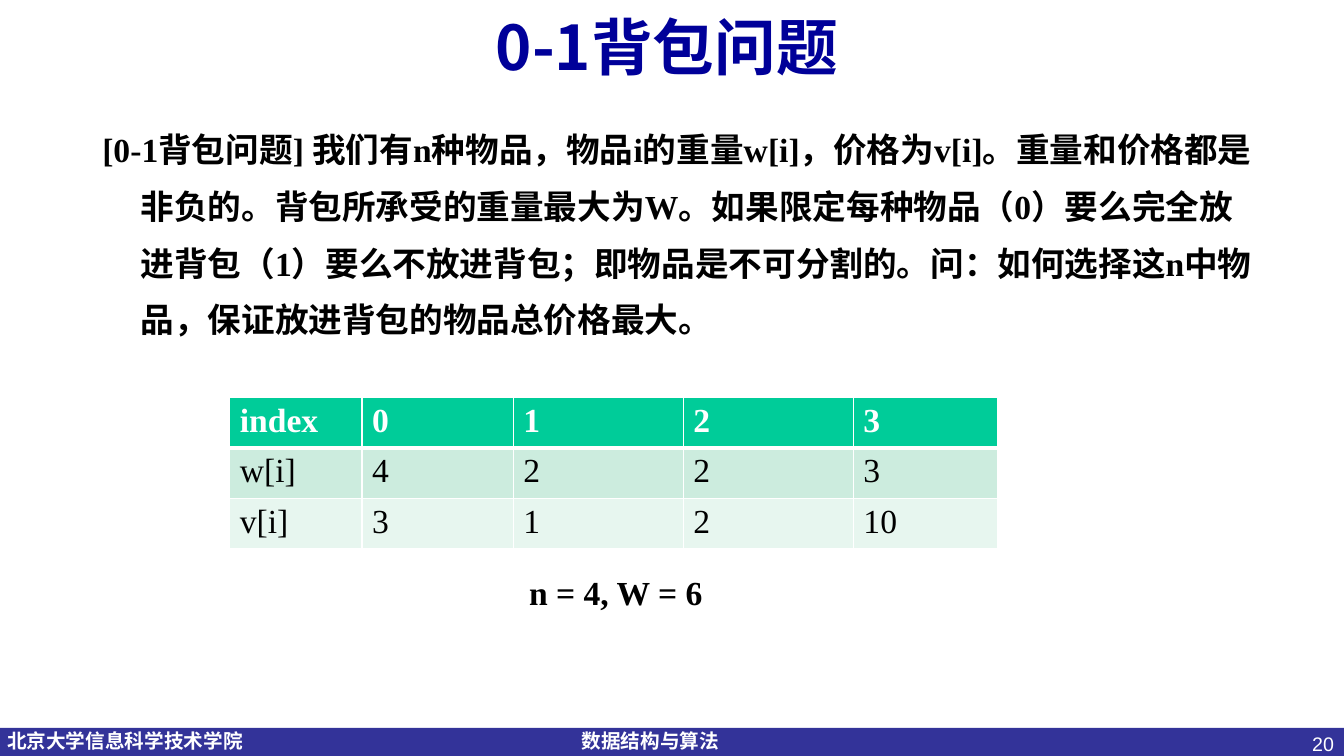
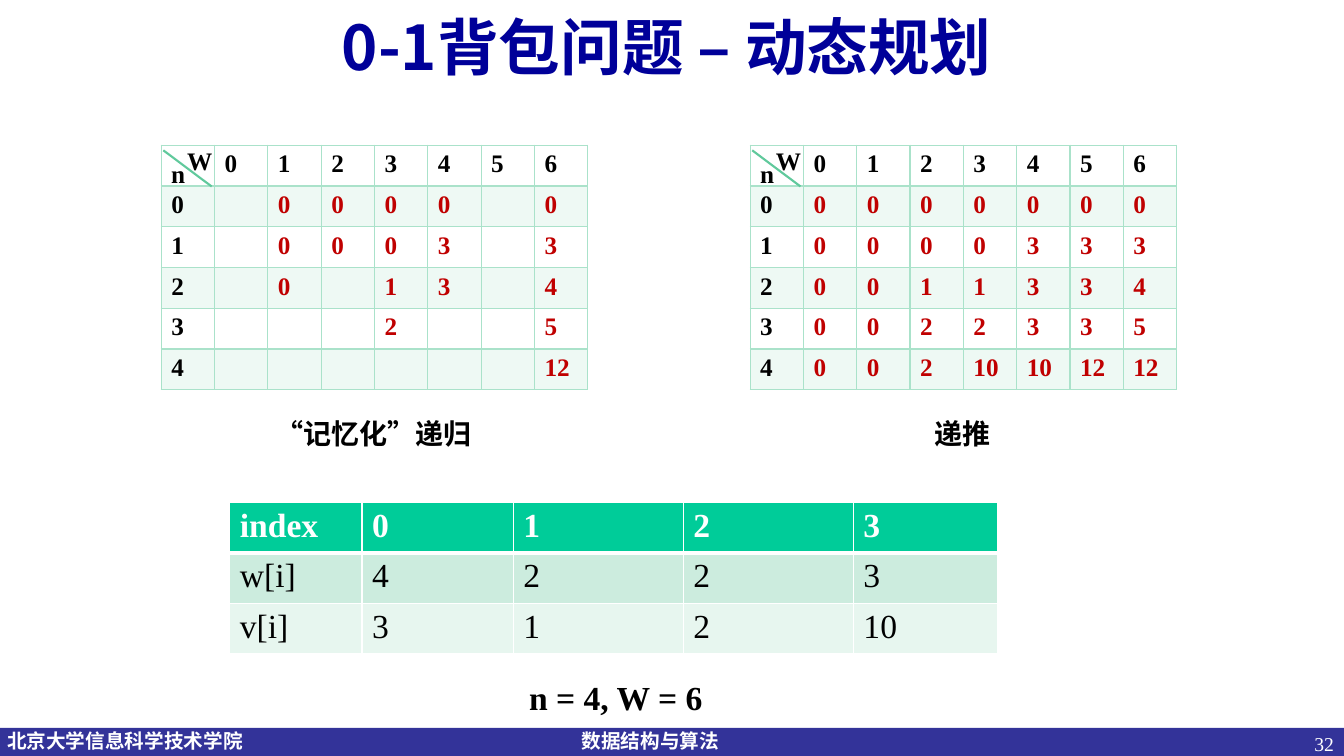
from lxml.etree import SubElement
from pptx import Presentation
from pptx.dml.color import RGBColor
from pptx.enum.shapes import MSO_CONNECTOR, MSO_SHAPE
from pptx.enum.text import MSO_ANCHOR, PP_ALIGN
from pptx.oxml.ns import qn
from pptx.util import Emu, Inches, Pt

SLIDE_WIDTH, SLIDE_HEIGHT = Inches(13.33), Inches(7.5)
GRID_COLUMNS, GRID_ROWS = 32, 18
SERIF, SANS, CHINESE = "Times New Roman", "Arial", "Noto Sans CJK SC"
WHITE, BLACK, RED = "FFFFFF", "000000", "C00000"
TITLE_BLUE, BAND_BLUE = "000099", "333399"
GREEN, PALE_GREEN, LIGHT_GREEN = "00CC99", "CCECDE", "E7F6EF"
GRID_LINE, GRID_BAND, DIAGONAL = "AAE2CA", "EEF9F4", "60C99C"

ITEMS = [
    ["index", "0", "1", "2", "3"],
    ["w[i]", "4", "2", "2", "3"],
    ["v[i]", "3", "1", "2", "10"],
]
ITEM_COLUMNS = [3.15, 3.6, 4.05, 4.05, 3.44]
CAPACITY_HEADER = ["", "0", "1", "2", "3", "4", "5", "6"]
MEMOIZED = [
    CAPACITY_HEADER,
    ["0", "", "0", "0", "0", "0", "", "0"],
    ["1", "", "0", "0", "0", "3", "", "3"],
    ["2", "", "0", "", "1", "3", "", "4"],
    ["3", "", "", "", "2", "", "", "5"],
    ["4", "", "", "", "", "", "", "12"],
]
ITERATIVE = [
    CAPACITY_HEADER,
    ["0", "0", "0", "0", "0", "0", "0", "0"],
    ["1", "0", "0", "0", "0", "3", "3", "3"],
    ["2", "0", "0", "1", "1", "3", "3", "4"],
    ["3", "0", "0", "2", "2", "3", "3", "5"],
    ["4", "0", "0", "2", "10", "10", "12", "12"],
]
PROBLEM = (
    "[0-1背包问题] 我们有n种物品，物品i的重量w[i]，价格为v[i]。"
    "重量和价格都是非负的。背包所承受的重量最大为W。"
    "如果限定每种物品（0）要么完全放进背包（1）要么不放进背包；"
    "即物品是不可分割的。问：如何选择这n中物品，保证放进背包的物品总价格最大。"
)


def across(columns):
    """Turn grid columns into a length."""
    return Emu(round(SLIDE_WIDTH * columns / GRID_COLUMNS))


def down(rows):
    """Turn grid rows into a length."""
    return Emu(round(SLIDE_HEIGHT * rows / GRID_ROWS))


def place(left, top, width, height):
    """Turn a grid box into left, top, width and height."""
    return across(left), down(top), across(width), down(height)


def color(value):
    """Turn a hex string into a colour."""
    return RGBColor.from_string(value)


def add_run(paragraph, text, size, ink=BLACK, font=SERIF, bold=True):
    """Add one styled run with its Chinese font."""
    run = paragraph.add_run()
    run.text = text
    run.font.size = Pt(size)
    run.font.bold = bold
    run.font.color.rgb = color(ink)
    run.font.name = font
    SubElement(run.font._element, qn("a:ea"), typeface=CHINESE)


def add_text(slide, box, text, size, align=PP_ALIGN.LEFT, **style):
    """Add a wrapped text box with one paragraph and return its frame."""
    frame = slide.shapes.add_textbox(*place(*box)).text_frame
    frame.word_wrap = True
    paragraph = frame.paragraphs[0]
    paragraph.alignment = align
    add_run(paragraph, text, size, **style)
    return frame


def add_base(presentation, title, number, number_font):
    """Add a slide with the shared title, footer band and page number."""
    slide = presentation.slides.add_slide(presentation.slide_layouts[6])
    band = slide.shapes.add_shape(MSO_SHAPE.RECTANGLE, *place(0, 17.33, 32, 0.67))
    band.shadow.inherit = False
    band.fill.solid()
    band.fill.fore_color.rgb = color(BAND_BLUE)
    band.line.fill.background()
    for left, label in ((0.17, "北京大学信息科学技术学院"), (13.85, "数据结构与算法")):
        footer = add_text(slide, (left, 17.23, 7, 0.77), label, 14, ink=WHITE, font=SANS)
        footer.margin_left = 0
    add_text(slide, (24.6, 17.3, 7.4, 0.7), number, 14, PP_ALIGN.RIGHT,
             ink=WHITE, font=number_font, bold=False)
    heading = add_text(slide, (0, 0, 32, 2.18), title, 44, PP_ALIGN.CENTER,
                       ink=TITLE_BLUE, font=CHINESE)
    heading.vertical_anchor = MSO_ANCHOR.MIDDLE
    heading.margin_left, heading.margin_right = Inches(0.2), Inches(0.3)
    return slide


def set_borders(cell, line_color, top, bottom):
    """Draw the four borders of a cell, sides one point wide."""
    properties = cell._tc.get_or_add_tcPr()
    for side, width in (("L", 1), ("R", 1), ("T", top), ("B", bottom)):
        line = SubElement(properties, qn(f"a:ln{side}"), w=str(Pt(width)))
        SubElement(SubElement(line, qn("a:solidFill")), qn("a:srgbClr"), val=line_color)


def add_grid(slide, left, top, widths, row_height, values, line_color, rule, style):
    """Add a table; style gives fill and run style for a row and column."""
    box = place(left, top, sum(widths), row_height * len(values))
    table = slide.shapes.add_table(len(values), len(widths), *box).table
    table.first_row = table.horz_banding = False
    for column, width in zip(table.columns, widths):
        column.width = across(width)
    for row_index, row in enumerate(values):
        table.rows[row_index].height = down(row_height)
        for column_index, text in enumerate(row):
            cell = table.cell(row_index, column_index)
            set_borders(cell, line_color,
                        rule if row_index == 1 else 1, rule if row_index == 0 else 1)
            fill, run_style = style(row_index, column_index)
            if fill:
                cell.fill.solid()
                cell.fill.fore_color.rgb = color(fill)
            else:
                cell.fill.background()
            if text:
                add_run(cell.text_frame.paragraphs[0], text, **run_style)


def item_style(row, column):
    """Style the item table: green header over two pale rows."""
    header = row == 0
    return (GREEN, PALE_GREEN, LIGHT_GREEN)[row], {
        "size": 24, "ink": WHITE if header else BLACK, "bold": header}


def value_style(row, column):
    """Style a value table: banded rows, red results."""
    return GRID_BAND if row % 2 else None, {
        "size": 18, "ink": RED if row and column else BLACK}


def add_items(slide, top, row_height):
    """Add the item table and the capacity below it."""
    add_grid(slide, 5.47, top, ITEM_COLUMNS, row_height, ITEMS, WHITE, 3, item_style)
    add_text(slide, (12.36, top + 4.03, 6.07, 1.2), "n = 4, W = 6", 24)


def add_value_table(slide, left, values, caption):
    """Add a value table with its split corner and caption."""
    top = 3.46
    add_grid(slide, left, top, [1.27] * 8, 0.97, values, GRID_LINE, 2, value_style)
    line = slide.shapes.add_connector(
        MSO_CONNECTOR.STRAIGHT, across(left + 1.2), down(top + 0.98),
        across(left + 0.05), down(top + 0.12))
    line.line.color.rgb = color(DIAGONAL)
    line.line.width = Pt(1.5)
    SubElement(line._element.spPr, qn("a:effectLst"))
    add_text(slide, (left + 0.38, top - 0.12, 0.55, 0.96), "W", 18)
    add_text(slide, (left, top + 0.19, 0.55, 0.96), "n", 18)
    add_text(slide, (left + 2.23, top + 6.33, 5.66, 1.06), caption, 20, PP_ALIGN.CENTER)


def add_problem(slide):
    """Add the problem statement with a hanging indent."""
    paragraph = add_text(slide, (2.2, 2.57, 28.13, 6.24), PROBLEM, 24).paragraphs[0]
    paragraph.line_spacing = Pt(40.5)
    properties = paragraph._p.get_or_add_pPr()
    properties.set("marL", str(Inches(0.38)))
    properties.set("indent", str(-Inches(0.38)))


def main():
    """Build both slides and save them."""
    presentation = Presentation()
    presentation.slide_width, presentation.slide_height = SLIDE_WIDTH, SLIDE_HEIGHT

    slide = add_base(presentation, "0-1背包问题", "20", SANS)
    add_problem(slide)
    add_items(slide, 9.46, 1.12)

    slide = add_base(presentation, "0-1背包问题 – 动态规划", "32", SERIF)
    add_value_table(slide, 3.84, MEMOIZED, "“记忆化”递归")
    add_value_table(slide, 17.86, ITERATIVE, "递推")
    add_items(slide, 11.96, 1.2)

    presentation.save("out.pptx")


if __name__ == "__main__":
    main()
